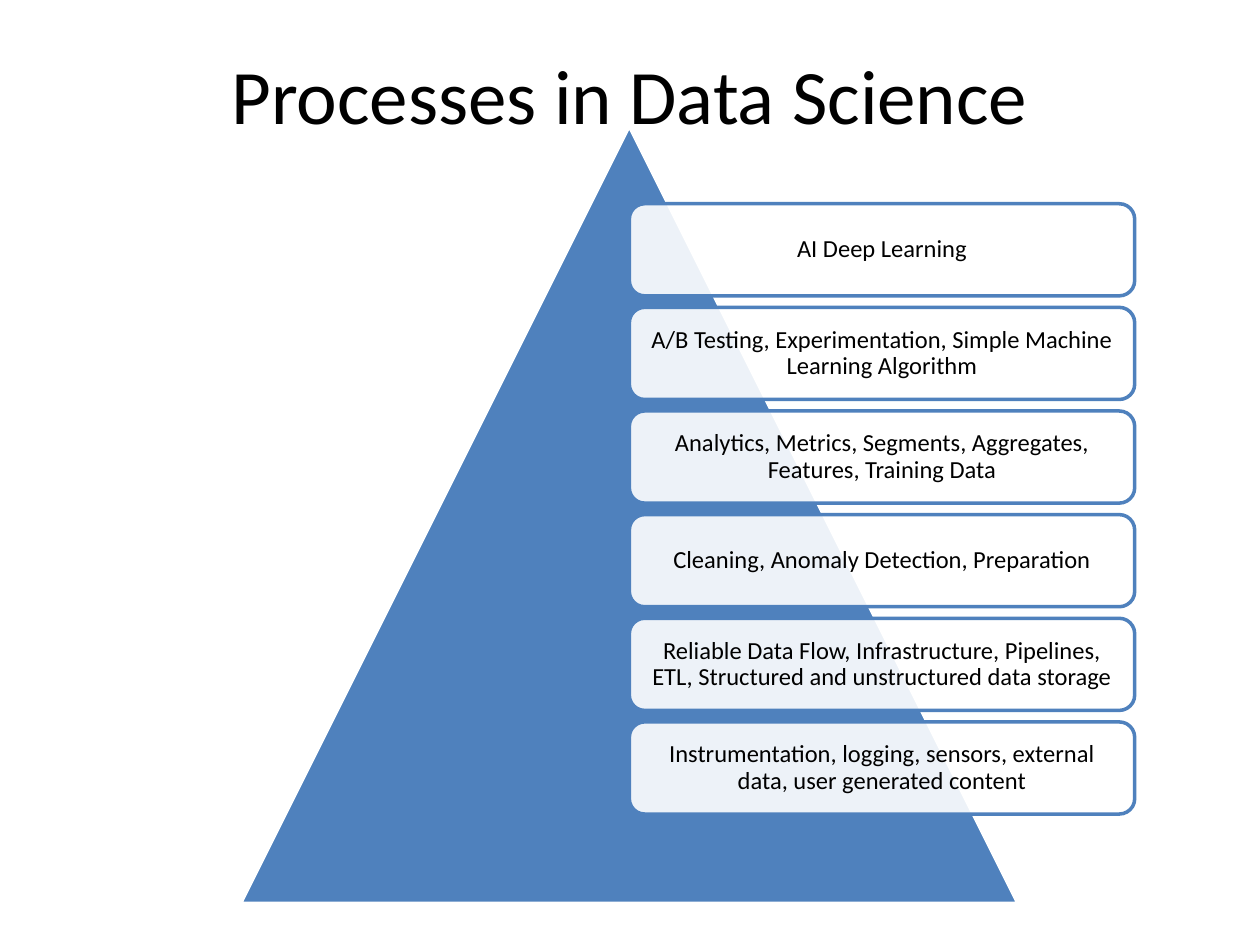
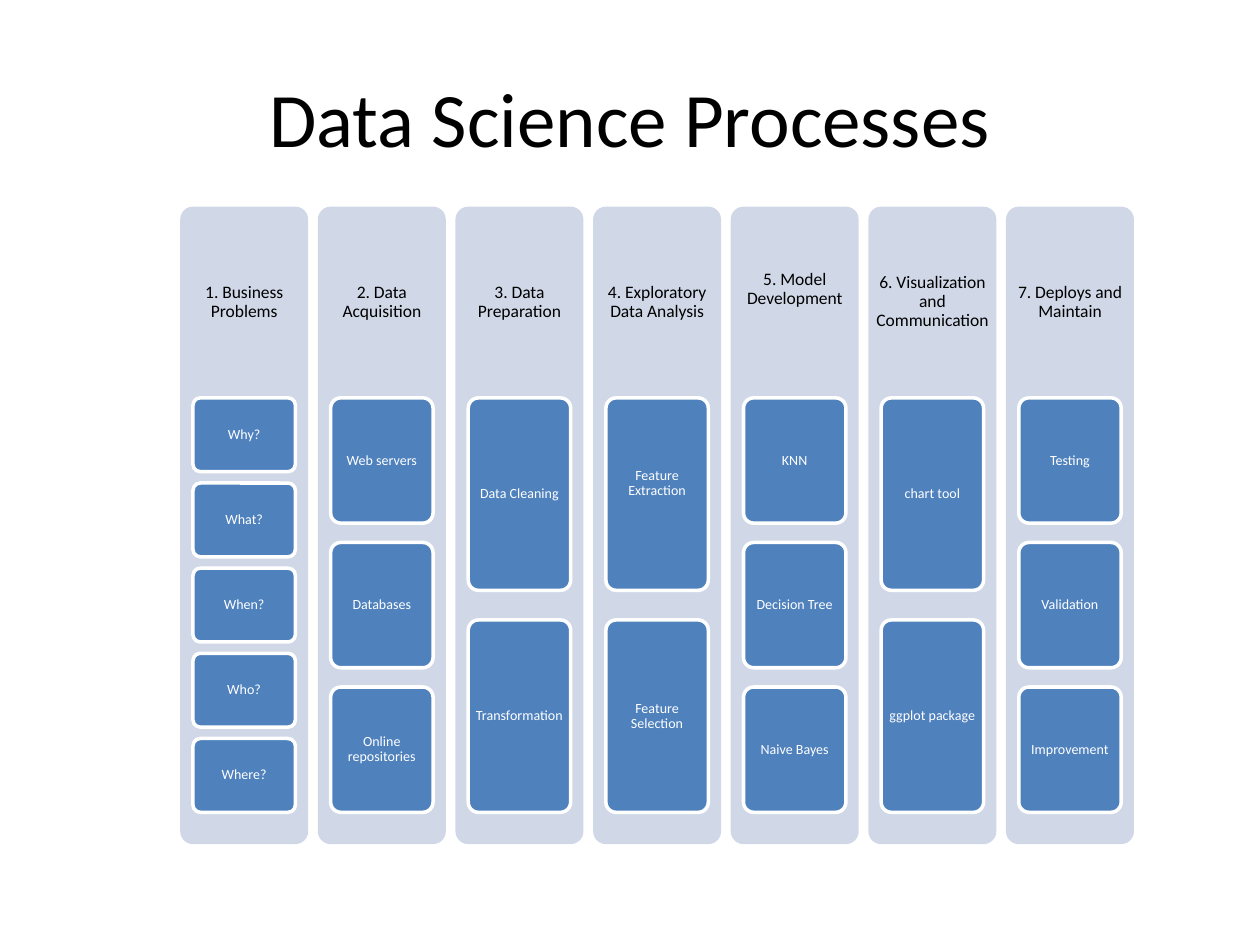
from dataclasses import dataclass

from lxml.etree import SubElement
from pptx import Presentation
from pptx.dml.color import RGBColor as RGB
from pptx.enum.shapes import MSO_SHAPE as Kind
from pptx.enum.text import MSO_ANCHOR as Anchor, PP_ALIGN as Align
from pptx.oxml.ns import qn
from pptx.util import Inches, Pt

LAYERS = {
    "title": "Processes in Data Science",
    "cards": [
        "AI Deep Learning",
        "A/B Testing, Experimentation, Simple Machine Learning Algorithm",
        "Analytics, Metrics, Segments, Aggregates, Features, Training Data",
        "Cleaning, Anomaly Detection, Preparation",
        "Reliable Data Flow, Infrastructure, Pipelines, ETL, "
        "Structured and unstructured data storage",
        "Instrumentation, logging, sensors, external data, user generated content",
    ],
}
STAGES = {
    "title": "Data Science Processes",
    "columns": [
        ("1. Business Problems", ["Why?", "What?", "When?", "Who?", "Where?"]),
        ("2. Data Acquisition", ["Web servers", "Databases", "Online repositories"]),
        ("3. Data Preparation", ["Data Cleaning", "Transformation"]),
        ("4. Exploratory Data Analysis", ["Feature Extraction", "Feature Selection"]),
        ("5. Model Development", ["KNN", "Decision Tree", "Naive Bayes"]),
        ("6. Visualization and Communication", ["chart tool", "ggplot package"]),
        ("7. Deploys and Maintain", ["Testing", "Validation", "Improvement"]),
    ],
}
RAISED = {"5. Model Development", "Feature Extraction"}


@dataclass(frozen=True)
class Theme:
    font: str = "Calibri"
    ink: str = "000000"
    paper: str = "FFFFFF"
    blue: str = "4F81BD"
    pale: str = "D0D8E8"
    title: int = 44
    card: int = 14
    head: int = 10
    cell: int = 8
    line: int = 2
    leading: float = 0.9
    veil: int = 90  # opacity of the cards, in percent


T = Theme()


def split(start, span, count, ratio):
    """Return the starts and common size of parts whose gap is ratio * size."""
    size = span / (count + (count - 1) * ratio)
    return [start + i * size * (1 + ratio) for i in range(count)], size


def write(shape, text, size, ink, pad=None, leading=T.leading):
    frame = shape.text_frame
    frame.word_wrap = True
    frame.vertical_anchor = Anchor.MIDDLE
    if pad is not None:
        frame.margin_left = frame.margin_right = frame.margin_top = Inches(pad)
        lift = Pt(1.5 * size) if text in RAISED else 0
        frame.margin_bottom = Inches(pad) + lift
    frame.text = text
    para = frame.paragraphs[0]
    para.alignment = Align.CENTER
    para.line_spacing = leading
    font = para.runs[0].font
    font.name, font.size = T.font, Pt(size)
    font.color.rgb = RGB.from_string(ink)


def label(slide, box, *args, **style):
    write(slide.shapes.add_textbox(*map(Inches, box)), *args, **style)


def block(slide, kind, box, fill, line=None, bend=None, alpha=None):
    shape = slide.shapes.add_shape(kind, *map(Inches, box))
    shape.shadow.inherit = False
    shape.fill.solid()
    shape.fill.fore_color.rgb = RGB.from_string(fill)
    if line:
        shape.line.color.rgb = RGB.from_string(line)
        shape.line.width = Pt(T.line)
    else:
        shape.line.fill.background()
    if bend is not None:
        shape.adjustments[0] = bend
    if alpha:
        tint = shape._element.spPr.find(qn("a:solidFill"))[0]
        SubElement(tint, qn("a:alpha"), val=str(alpha * 1000))
    return shape


def start(deck, title, top, high):
    slide = deck.slides.add_slide(deck.slide_layouts[6])
    label(slide, (0.5, top, 9, high), title, T.title, T.ink, leading=1)
    return slide


def pyramid(deck):
    slide = start(deck, LAYERS["title"], 0.28, 0.92)
    left, top, side = 1.91, 1, 6.17
    block(slide, Kind.ISOSCELES_TRIANGLE, (left, top, side, side), T.blue, T.paper)
    cards = LAYERS["cards"]
    rows, high = split(top + 0.1 * side, 0.785 * side, len(cards), 1 / 8)
    for text, y in zip(cards, rows):
        box = (left + side / 2, y, 0.65 * side, high)
        card = block(slide, Kind.ROUNDED_RECTANGLE, box, T.paper, T.blue, alpha=T.veil)
        write(card, text, T.card, T.ink, pad=0.06)


def stages(deck):
    slide = start(deck, STAGES["title"], 0.3, 1.25)
    top, high = 1.64, 5.06
    columns = STAGES["columns"]
    lefts, wide = split(1.43, 7.57, len(columns), 0.075)
    for (head, cells), x in zip(columns, lefts):
        block(slide, Kind.ROUNDED_RECTANGLE, (x, top, wide, high), T.pale, bend=0.1)
        label(slide, (x, top, wide, 0.3 * high), head, T.head, T.ink, pad=0.04)
        rows, tall = split(top + 0.3 * high, 0.65 * high, len(cells), 2 / 13)
        for text, y in zip(cells, rows):
            box = (x + 0.1 * wide, y, 0.8 * wide, tall)
            cell = block(slide, Kind.ROUNDED_RECTANGLE, box, T.blue, T.paper, bend=0.1)
            write(cell, text, T.cell, T.paper, pad=0.02)


def main():
    deck = Presentation()
    deck.slide_width, deck.slide_height = Inches(10), Inches(7.5)
    pyramid(deck)
    stages(deck)
    deck.save("out.pptx")


if __name__ == "__main__":
    main()
